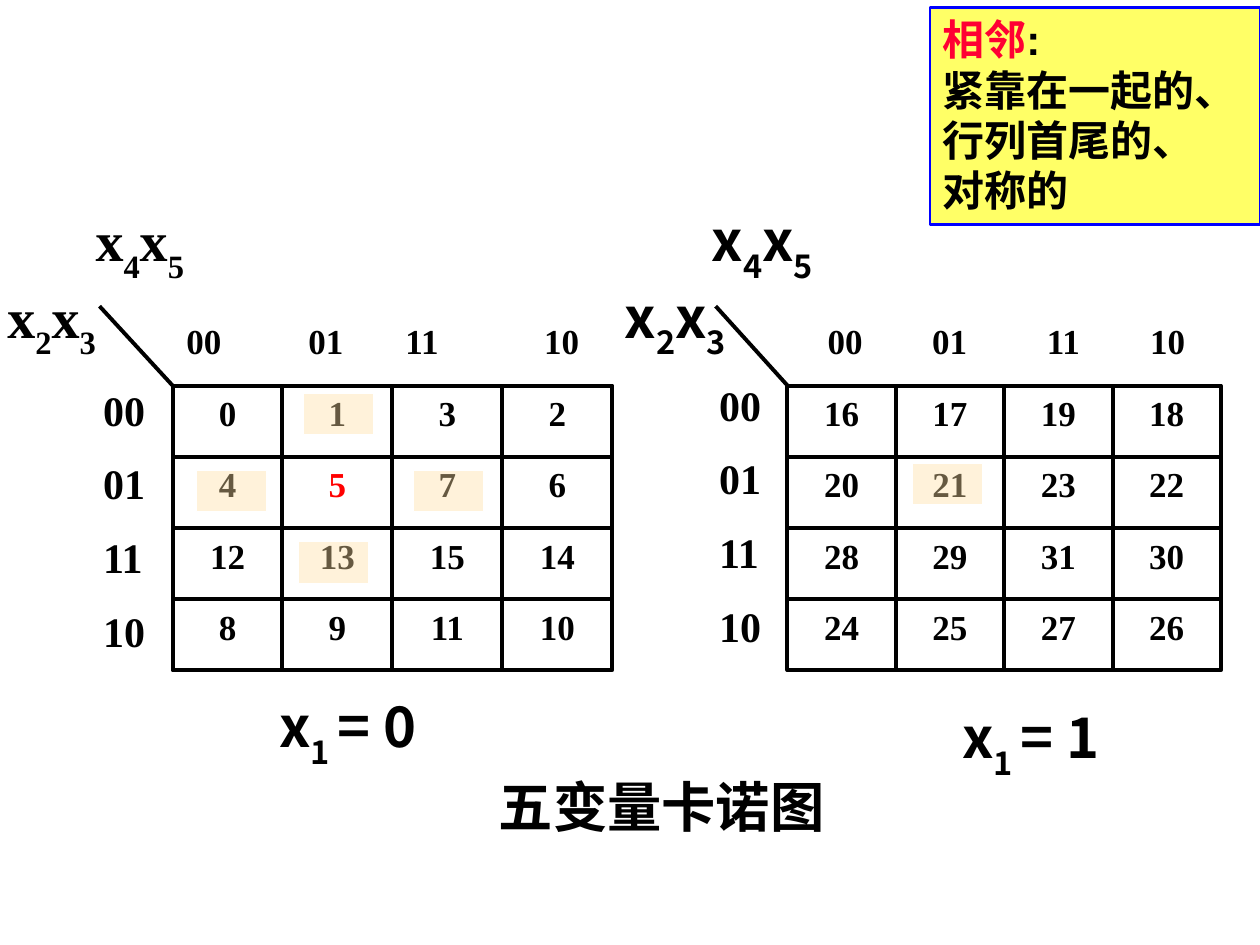
from pptx import Presentation
from pptx.dml.color import RGBColor
from pptx.enum.shapes import MSO_CONNECTOR as Connector, MSO_SHAPE as Shape
from pptx.enum.text import MSO_ANCHOR as Anchor, PP_ALIGN as Align
from pptx.oxml.ns import qn
from pptx.util import Inches, Pt
from lxml.etree import SubElement

THEME = {
    "ink": "000000", "focus": "FF0000", "term": "FF0033",
    "note_fill": "FFFF66", "note_line": "0000FF",
    "mark_fill": "FFE0A3", "mark_line": "FFFFFF", "mark_alpha": 40000,
    "serif": "Times New Roman", "sans": "Arial", "cjk": "Noto Sans CJK SC",
    "cell": 20, "row": 24, "note": 24, "title": 31, "axis": 32,
    "grid_line": 2.25, "row_gap": 13.3,
}

# Content
TITLE = "五变量卡诺图"
NOTE = [[("相邻", {"color": THEME["term"], "font": THEME["sans"]}),
         (":", {"font": THEME["sans"]})],
        "紧靠在一起的、行列首尾的、", "对称的"]
GRAY = ["00", "01", "11", "10"]
ROW_VARIABLES, COLUMN_VARIABLES = ["x", "2", "x", "3"], ["x", "4", "x", "5"]
MAPS = [
    {"left": 1.37, "column": 0.8725, "axis_font": THEME["serif"],
     "values": [[0, 1, 3, 2], [4, 5, 7, 6], [12, 13, 15, 14], [8, 9, 11, 10]],
     "rows_at": (0.72, 3.0), "heads_at": 1.24, "head_tabs": [0.14, 1.11, 1.88, 2.98],
     "row_axis": -0.04, "column_axis": 0.66, "corner": 0.79,
     "caption": "= 0", "caption_at": (2.12, 5.44)},
    {"left": 6.25, "column": 0.86, "axis_font": THEME["cjk"],
     "values": [[16, 17, 19, 18], [20, 21, 23, 22], [28, 29, 31, 30], [24, 25, 27, 26]],
     "rows_at": (5.61, 2.96), "heads_at": 6.12, "head_tabs": [0.35, 1.18, 2.09, 2.91],
     "row_axis": 4.86, "column_axis": 5.55, "corner": 5.68,
     "caption": "= 1", "caption_at": (7.54, 5.53)},
]
FOCUS = 5
MARKS = [(2.41, 3.12), (2.37, 4.3), (3.28, 3.73), (1.56, 3.73), (7.24, 3.68)]
TOP, ROW = 3.06, 0.565

prs = Presentation()
prs.slide_width, prs.slide_height = Inches(10), Inches(7.5)
slide = prs.slides.add_slide(prs.slide_layouts[6])


def rgb(value):
    return RGBColor.from_string(value)


def write(shape, paragraphs, size, font=THEME["serif"], color=THEME["ink"],
          align=Align.LEFT, gap=0, tabs=()):
    """Each paragraph is a string or a list of (text, run format) pairs."""
    frame = shape.text_frame
    frame.word_wrap = True
    frame.vertical_anchor = Anchor.TOP
    for index, runs in enumerate(paragraphs):
        para = frame.paragraphs[0] if index == 0 else frame.add_paragraph()
        if tabs:
            stops = SubElement(para._p.get_or_add_pPr(), qn("a:tabLst"))
            for stop in tabs:
                SubElement(stops, qn("a:tab"), pos=str(Inches(stop)), algn="l")
        para.alignment = align
        para.space_before = Pt(gap if index else 0)
        for text, style in [(runs, {})] if isinstance(runs, str) else runs:
            run = para.add_run()
            run.text = text
            run.font.size, run.font.bold = Pt(size), True
            run.font.name = style.get("font", font)
            run.font.color.rgb = rgb(style.get("color", color))
            if style.get("sub"):
                run.font._element.set("baseline", "-30000")


def text_box(left, top, width, height, paragraphs, size, **style):
    box = slide.shapes.add_textbox(*map(Inches, (left, top, width, height)))
    write(box, paragraphs, size, **style)


def rectangle(left, top, width, height, line, weight, fill=None):
    rect = slide.shapes.add_shape(Shape.RECTANGLE, *map(Inches, (left, top, width, height)))
    rect.shadow.inherit = False
    rect.line.color.rgb, rect.line.width = rgb(line), Pt(weight)
    if fill:
        rect.fill.solid()
        rect.fill.fore_color.rgb = rgb(fill)
    else:
        rect.fill.background()
    return rect


def grid_line(x1, y1, x2, y2):
    line = slide.shapes.add_connector(Connector.STRAIGHT, *map(Inches, (x1, y1, x2, y2)))
    line.line.color.rgb, line.line.width = rgb(THEME["ink"]), Pt(THEME["grid_line"])
    SubElement(line._element.spPr, qn("a:effectLst"))


def variables(parts):
    return [(part, {"sub": part.strip().isdigit()}) for part in parts]


def karnaugh_map(kmap):
    left, column = kmap["left"], kmap["column"]
    right, bottom = left + 4 * column, TOP + 4 * ROW

    # Numbered cells
    for r, values in enumerate(kmap["values"]):
        for c, value in enumerate(values):
            cell = rectangle(left + c * column, TOP + r * ROW, column, ROW,
                             THEME["ink"], THEME["grid_line"])
            write(cell, [str(value)], THEME["cell"], align=Align.CENTER,
                  color=THEME["focus" if value == FOCUS else "ink"])

    # Grid lines and corner diagonal
    for i in range(5):
        grid_line(left, TOP + i * ROW, right, TOP + i * ROW)
        grid_line(left + i * column, TOP, left + i * column, bottom)
    grid_line(left, TOP, kmap["corner"], 2.43)

    # Gray-code headings
    text_box(kmap["heads_at"], 2.49, 3.7, 0.44, ["\t" + "\t".join(GRAY)],
             THEME["cell"], tabs=kmap["head_tabs"])
    text_box(*kmap["rows_at"], 0.73, 2.32, GRAY, THEME["row"], gap=THEME["row_gap"])

    # Axis variables and caption
    for x, y, names in ((kmap["row_axis"], 2.19, ROW_VARIABLES),
                        (kmap["column_axis"], 1.58, COLUMN_VARIABLES)):
        text_box(x, y, 1.85, 0.92, [variables(names)], THEME["axis"], font=kmap["axis_font"])
    text_box(*kmap["caption_at"], 2, 0.63, [variables(["x", "1 ", kmap["caption"]])],
             THEME["axis"], font=THEME["cjk"])


# Title
text_box(0.25, 6.09, 10, 0.62, [TITLE], THEME["title"], font=THEME["sans"], align=Align.CENTER)

# Both maps
for kmap in MAPS:
    karnaugh_map(kmap)

# Note on adjacency
note = rectangle(7.38, 0.06, 2.62, 1.72, THEME["note_line"], 1.5, THEME["note_fill"])
write(note, NOTE, THEME["note"])

# Translucent marks on the cells adjacent to the focus
for x, y in MARKS:
    mark = rectangle(x, y, 0.56, 0.33, THEME["mark_line"], 0.75, THEME["mark_fill"])
    tint = mark._element.spPr.find(qn("a:solidFill"))[0]
    SubElement(tint, qn("a:alpha"), val=str(THEME["mark_alpha"]))

prs.save("out.pptx")
